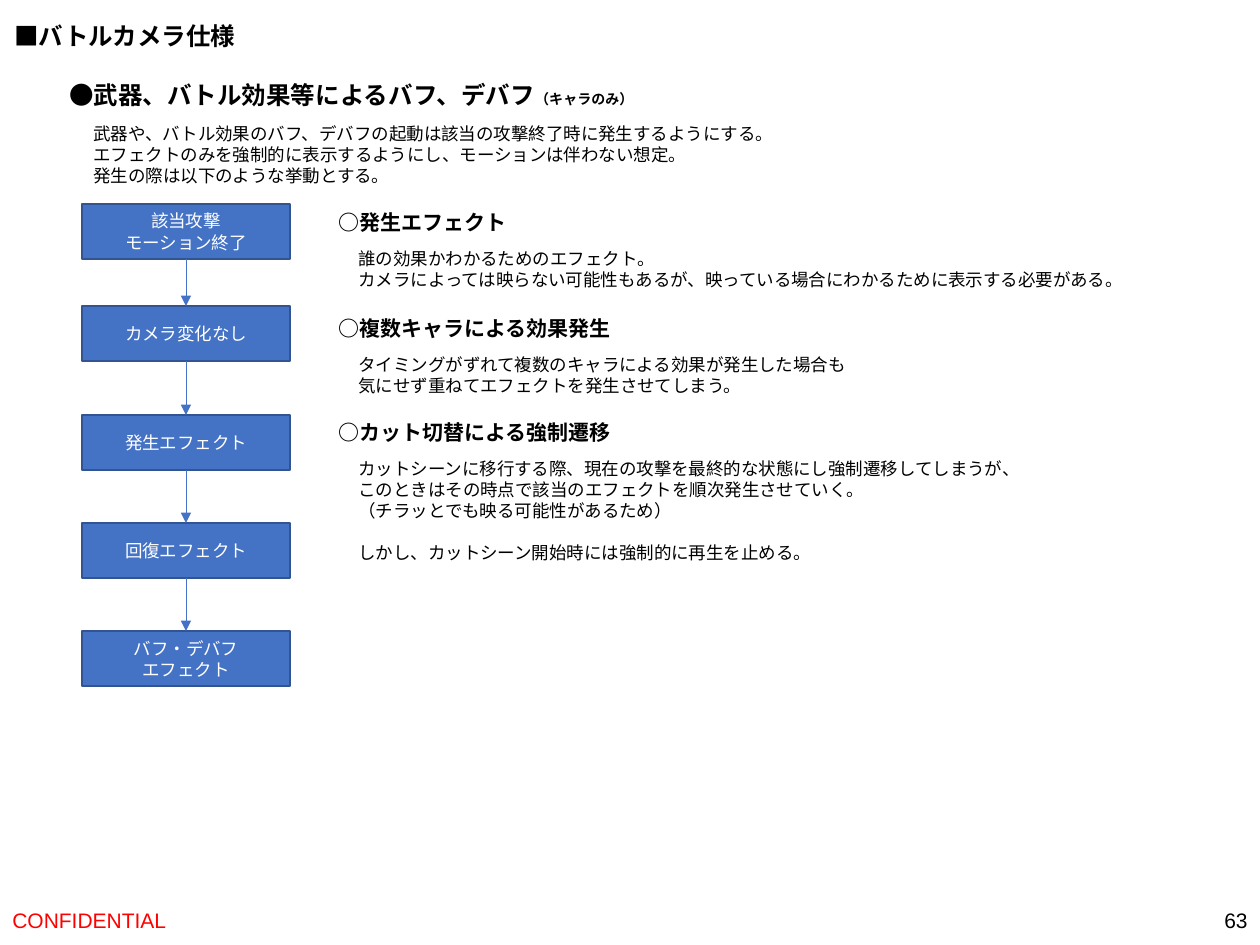
from itertools import pairwise

from lxml.etree import SubElement
from pptx import Presentation
from pptx.dml.color import RGBColor
from pptx.enum.shapes import MSO_CONNECTOR as Connector, MSO_SHAPE as Shape
from pptx.enum.text import MSO_ANCHOR as Anchor, MSO_AUTO_SIZE as AutoSize, PP_ALIGN as Align
from pptx.oxml.ns import qn
from pptx.util import Emu, Pt

EMU_PER_PX = 914400 / 126
COLORS = {"text": "000000", "box": "4472C4", "edge": "325491", "label": "FFFFFF", "notice": "FF0000"}
STEP_LEFT, STEP_WIDTH, STEP_HEIGHT = 82, 208, 55
HEADING_LEFT, HEADING_HEIGHT, BODY_LEFT = 326, 38, 346

STEPS = [
    (204, ["該当攻撃", "モーション終了"]),
    (306, ["カメラ変化なし"]),
    (415, ["発生エフェクト"]),
    (523, ["回復エフェクト"]),
    (631, ["バフ・デバフ", "エフェクト"]),
]
TOPICS = [
    (203, "○発生エフェクト", 195, 803, 55, [
        "誰の効果かわかるためのエフェクト。",
        "カメラによっては映らない可能性もあるが、映っている場合にわかるために表示する必要がある。",
    ]),
    (309, "○複数キャラによる効果発生", 301, 520, 55, [
        "タイミングがずれて複数のキャラによる効果が発生した場合も",
        "気にせず重ねてエフェクトを発生させてしまう。",
    ]),
    (413, "○カット切替による強制遷移", 301, 697, 118, [
        "カットシーンに移行する際、現在の攻撃を最終的な状態にし強制遷移してしまうが、",
        "このときはその時点で該当のエフェクトを順次発生させていく。",
        "（チラッとでも映る可能性があるため）",
        "しかし、カットシーン開始時には強制的に再生を止める。",
    ]),
]


def px(*lengths):
    return [Emu(round(length * EMU_PER_PX)) for length in lengths]


def color(name):
    return RGBColor.from_string(COLORS[name])


def style_run(run, size, font, ink, bold):
    run.font.size = Pt(size)
    run.font.name = font
    run.font.bold = bold
    run.font.color.rgb = color(ink)


def write(frame, lines, size, font="Arial", ink="text", bold=False, align=Align.LEFT):
    frame.text = "\n".join(lines)
    for paragraph in frame.paragraphs:
        paragraph.alignment = align
        for run in paragraph.runs:
            style_run(run, size, font, ink, bold)


def add_text(slide, box, lines, size, **style):
    frame = slide.shapes.add_textbox(*px(*box)).text_frame
    frame.word_wrap = False
    frame.auto_size = AutoSize.SHAPE_TO_FIT_TEXT
    write(frame, lines, size, **style)
    return frame


def add_footer(slide, box, line, **style):
    frame = slide.shapes.add_textbox(*px(*box)).text_frame
    frame.word_wrap = True
    frame.vertical_anchor = Anchor.MIDDLE
    write(frame, [line], 12, **style)


def add_step(slide, top, lines):
    step = slide.shapes.add_shape(Shape.RECTANGLE, *px(STEP_LEFT, top, STEP_WIDTH, STEP_HEIGHT))
    step.shadow.inherit = False
    step.fill.solid()
    step.fill.fore_color.rgb = color("box")
    step.line.color.rgb = color("edge")
    step.line.width = Pt(1)
    step.text_frame.word_wrap = False
    step.text_frame.vertical_anchor = Anchor.MIDDLE
    write(step.text_frame, lines, 10, font="Quicksand", ink="label", align=Align.CENTER)


def add_arrow(slide, start, end):
    center = STEP_LEFT + STEP_WIDTH // 2
    arrow = slide.shapes.add_connector(Connector.STRAIGHT, *px(center, start, center, end))
    arrow.line.color.rgb = color("box")
    arrow.line.width = Pt(0.5)
    SubElement(arrow.line._get_or_add_ln(), qn("a:tailEnd"), type="triangle")
    SubElement(arrow._element.spPr, qn("a:effectLst"))


def add_flow(slide):
    for top, lines in STEPS:
        add_step(slide, top, lines)
    for (upper, _), (lower, _) in pairwise(STEPS):
        add_arrow(slide, upper + STEP_HEIGHT, lower)


def add_topics(slide):
    for top, heading, heading_width, body_width, body_height, lines in TOPICS:
        add_text(slide, (HEADING_LEFT, top, heading_width, HEADING_HEIGHT), [heading], 12,
                 font="Quicksand", bold=True)
        body = add_text(slide, (BODY_LEFT, top + HEADING_HEIGHT + 1, body_width, body_height), lines, 10)
    body.paragraphs[-1].space_before = Pt(12)


def add_intro(slide):
    add_text(slide, (2, 15, 248, 43), ["■バトルカメラ仕様"], 14, bold=True)
    section = add_text(slide, (57, 74, 607, 43), ["●武器、バトル効果等によるバフ、デバフ"], 14,
                       font="Quicksand", bold=True)
    scope = section.paragraphs[0].add_run()
    scope.text = "（キャラのみ）"
    style_run(scope, 8, "Quicksand", "text", True)
    add_text(slide, (81, 117, 714, 77), [
        "武器や、バトル効果のバフ、デバフの起動は該当の攻撃終了時に発生するようにする。",
        "エフェクトのみを強制的に表示するようにし、モーションは伴わない想定。",
        "発生の際は以下のような挙動とする。",
    ], 10)


def main():
    deck = Presentation()
    deck.slide_width, deck.slide_height = px(1260, 945)
    slide = deck.slides.add_slide(deck.slide_layouts[6])
    add_footer(slide, (0, 895, 426, 50), "CONFIDENTIAL", ink="notice")
    add_footer(slide, (976, 895, 284, 50), "63", align=Align.RIGHT)
    add_intro(slide)
    add_flow(slide)
    add_topics(slide)
    deck.save("out.pptx")


if __name__ == "__main__":
    main()
